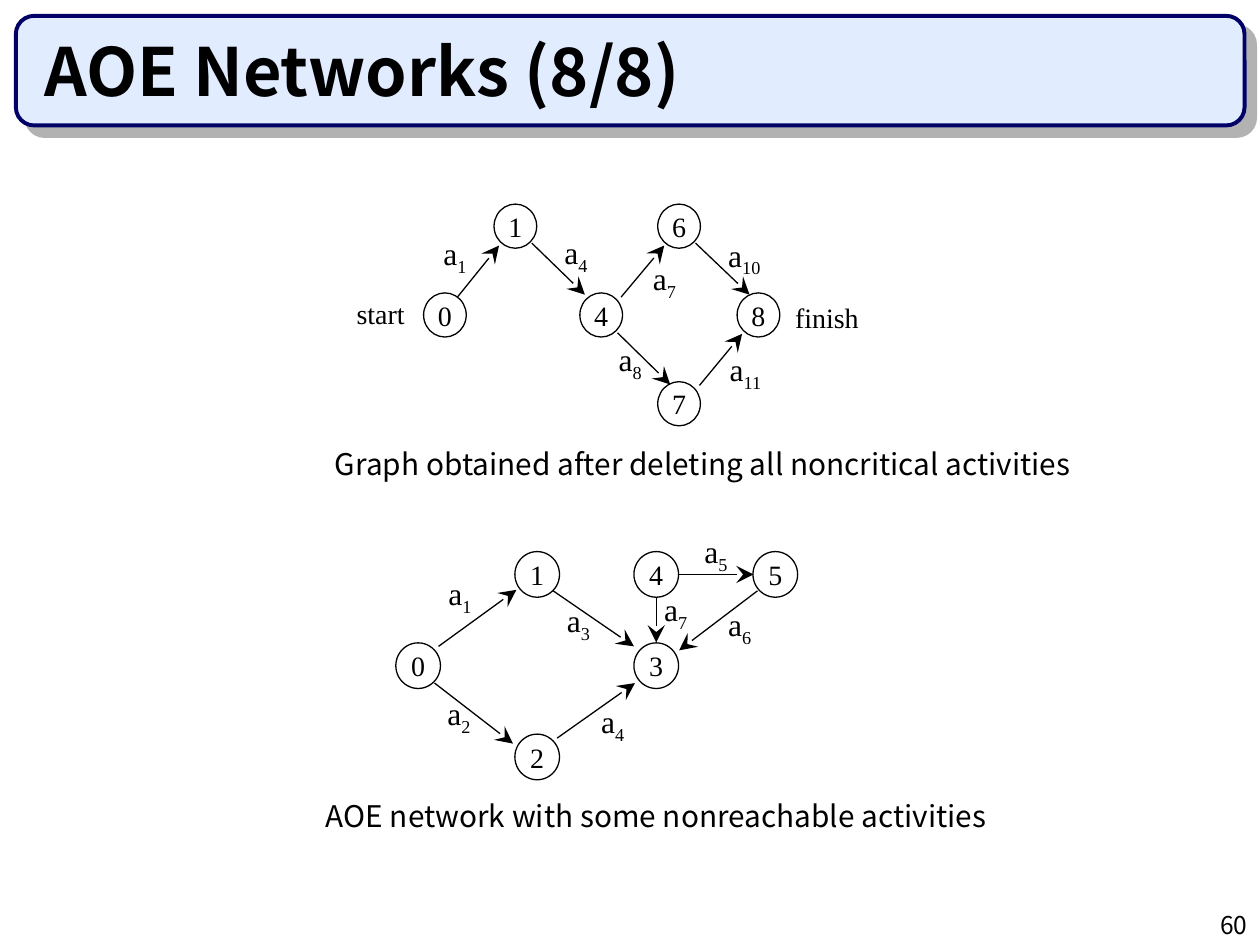
from lxml import etree
from pptx import Presentation
from pptx.dml.color import RGBColor
from pptx.enum.shapes import MSO_CONNECTOR, MSO_SHAPE
from pptx.enum.text import MSO_ANCHOR, PP_ALIGN
from pptx.oxml import parse_xml
from pptx.oxml.ns import qn
from pptx.util import Cm, Pt

ROUND, OVAL = MSO_SHAPE.ROUNDED_RECTANGLE, MSO_SHAPE.OVAL
LINE = MSO_CONNECTOR.STRAIGHT
TOP, MID, BASE = MSO_ANCHOR.TOP, MSO_ANCHOR.MIDDLE, MSO_ANCHOR.BOTTOM
LEFT, MIDDLE, RIGHT = PP_ALIGN.LEFT, PP_ALIGN.CENTER, PP_ALIGN.RIGHT
SANS, SERIF = "Noto Sans CJK KR", "Times New Roman"
BLACK = "000000"
NS = "http://schemas.openxmlformats.org/drawingml/2006/main"


def color(code):
    return RGBColor.from_string(code)


def write(shape, text, size, face, align=LEFT, anchor=TOP, pad=(0, 0), sub=""):
    frame = shape.text_frame
    frame.margin_left = frame.margin_right = Cm(pad[0])
    frame.margin_top = frame.margin_bottom = Cm(pad[1])
    frame.word_wrap = False
    frame.vertical_anchor = anchor
    para = frame.paragraphs[0]
    para.text = text
    para.alignment = align
    if sub:
        low = para.add_run()
        low.text = sub
        low._r.get_or_add_rPr().set("baseline", "-25000")
    for run in para.runs:
        run.font.size = Pt(size)
        run.font.name = face
        run.font.color.rgb = color(BLACK)
    return para


deck = Presentation()
deck.slide_width, deck.slide_height = Cm(25.4), Cm(19.05)
slide = deck.slides.add_slide(deck.slide_layouts[6])
shapes = slide.shapes

# Title bar with its shadow
bar = shapes.add_shape(ROUND, Cm(0.32), Cm(0.32), Cm(24.77), Cm(2.21))
bar.adjustments[0] = 0.167
bar.fill.solid()
bar.fill.fore_color.rgb = color("E1ECFF")
bar.line.color.rgb = color("000066")
bar.line.width = Pt(2.25)
bar._element.spPr.append(parse_xml(
    f'<a:effectLst xmlns:a="{NS}"><a:outerShdw dist="107950" dir="2700000" '
    'algn="ctr" rotWithShape="0"><a:srgbClr val="B2B2B2"/></a:outerShdw></a:effectLst>'))

# Title, captions and page number
pad = (0.25, 0.13)
title = shapes.add_textbox(Cm(0.64), Cm(0.64), Cm(23.93), Cm(1.7))
write(title, "AOE Networks (8/8)", 38, SANS, anchor=BASE, pad=pad).runs[0].font.bold = True
for text, x, y, wide in [
    ("Graph obtained after deleting all noncritical activities", 6.5, 8.86, 15.44),
    ("AOE network with some nonreachable activities", 6.32, 15.95, 13.92),
]:
    box = shapes.add_textbox(Cm(x), Cm(y), Cm(wide), Cm(0.99))
    write(box, text, 17, SANS, pad=pad)
page = shapes.add_textbox(Cm(20.12), Cm(18.21), Cm(5.28), Cm(0.84))
write(page, "60", 14, SANS, RIGHT, pad=pad)

# Start and finish marks
for text, x, y in [("start", 7.19, 5.97), ("finish", 16.03, 6.05)]:
    box = shapes.add_textbox(Cm(x), Cm(y), Cm(1.3), Cm(0.69))
    write(box, text, 16, SERIF)

# Each graph: node size, first row, row gap, nodes (name, centre x, row)
graphs = [
    (0.86, 0.89, 4.56, 1.79,
     [("0", 8.97, 1), ("4", 12.12, 1), ("8", 15.29, 1),
      ("1", 10.39, 0), ("6", 13.69, 0), ("7", 13.69, 2)]),
    (0.9, 0.92, 11.58, 1.84,
     [("0", 8.43, 1), ("3", 13.23, 1), ("1", 10.83, 0),
      ("2", 10.83, 2), ("5", 15.63, 0), ("4", 13.23, 0)]),
]
for wide, high, top, gap, nodes in graphs:
    for name, x, row in nodes:
        node = shapes.add_shape(OVAL, Cm(x - wide / 2), Cm(top + row * gap - high / 2),
                                Cm(wide), Cm(high))
        node.shadow.inherit = False
        node.fill.background()
        node.line.color.rgb = color(BLACK)
        node.line.width = Pt(0.75)
        write(node, name, 16, SERIF, MIDDLE, MID)

# Activities: arrow start, arrow end, index, label corner
edges = [
    (9.22, 5.99, 10.06, 4.95, "1", 8.94, 4.72),
    (10.72, 4.9, 11.79, 5.94, "4", 11.38, 4.7),
    (12.52, 5.99, 13.39, 4.95, "7", 13.16, 5.23),
    (12.45, 6.71, 13.51, 7.75, "8", 12.47, 6.86),
    (14.02, 4.9, 15.11, 5.94, "10", 14.68, 4.75),
    (14.1, 7.77, 14.96, 6.73, "11", 14.71, 7.06),
    (8.84, 13.03, 10.41, 11.89, "1", 9.04, 11.58),
    (8.76, 13.77, 10.34, 14.99, "2", 9.02, 14),
    (11.15, 11.91, 12.78, 13.03, "3", 11.43, 12.12),
    (11.23, 14.88, 12.8, 13.77, "4", 12.12, 14.15),
    (13.69, 11.58, 15.19, 11.58, "5", 14.2, 10.72),
    (15.27, 11.91, 13.69, 13.11, "6", 14.68, 12.19),
    (13.23, 12.04, 13.23, 12.95, "7", 13.39, 11.89),
]
for x1, y1, x2, y2, index, x, y in edges:
    arrow = shapes.add_connector(LINE, Cm(x1), Cm(y1), Cm(x2), Cm(y2))
    arrow.line.color.rgb = color(BLACK)
    arrow.line.width = Pt(0.75)
    etree.SubElement(arrow.line._get_or_add_ln(), qn("a:tailEnd"),
                     type="stealth", w="lg", len="lg")
    etree.SubElement(arrow._element.spPr, qn("a:effectLst"))
    box = shapes.add_textbox(Cm(x), Cm(y), Cm(0.79), Cm(0.86))
    write(box, "a", 18, SERIF, sub=index)

deck.save("out.pptx")
